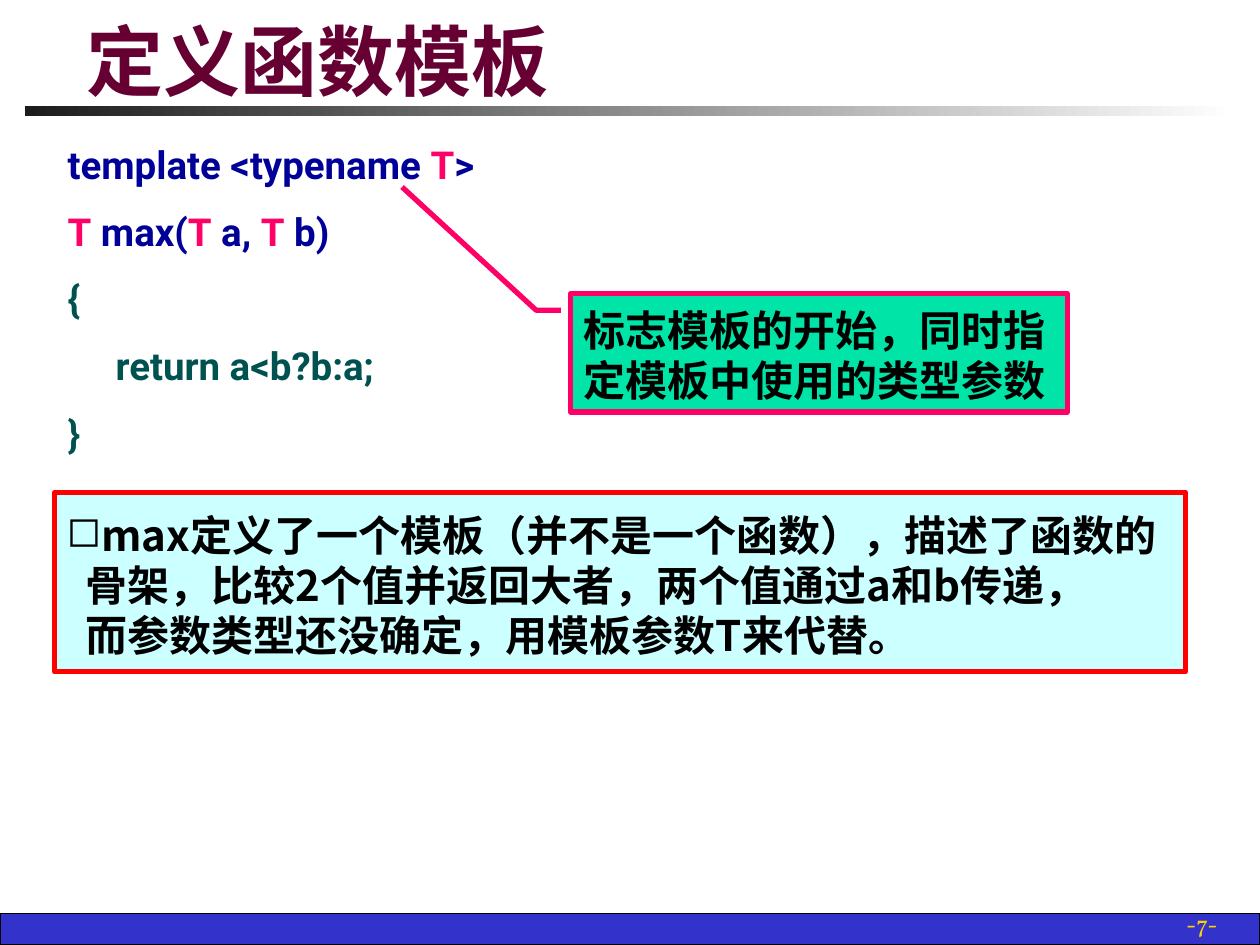
from pptx import Presentation
from pptx.util import Pt
from pptx.dml.color import RGBColor
from pptx.enum.shapes import MSO_SHAPE as Kind
from pptx.enum.text import MSO_ANCHOR as Anchor, PP_ALIGN as Align
from pptx.oxml.ns import qn
from lxml.etree import SubElement

COLORS = {
    "black": "000000", "blue": "3333CC", "dark": "1C1C1C", "white": "FFFFFF",
    "gold": "FFCF01", "plum": "660033", "navy": "000099", "pink": "FF0066",
    "teal": "005250", "ice": "CCFFFF", "red": "FF0000", "mint": "00E4A8",
}
RGB = {name: RGBColor.from_string(code) for name, code in COLORS.items()}
CJK = "Noto Sans CJK SC"

deck = Presentation()
deck.slide_width, deck.slide_height = Pt(720), Pt(540)
slide = deck.slides.add_slide(deck.slide_layouts[6])
shapes = slide.shapes


def block(kind, box, fill, line=None, width=0.75):
    shape = shapes.add_shape(kind, *map(Pt, box))
    shape.shadow.inherit = False
    if fill:
        shape.fill.solid()
        shape.fill.fore_color.rgb = RGB[fill]
    if line:
        shape.line.color.rgb = RGB[line]
        shape.line.width = Pt(width)
    else:
        shape.line.fill.background()
    return shape


def write(para, parts, face, size, bold=True):
    para.font.name, para.font.size, para.font.bold = face, Pt(size), bold
    for text, color in parts:
        run = para.add_run()
        run.text = text
        run.font.color.rgb = RGB[color]
        SubElement(run._r.get_or_add_rPr(), qn("a:ea")).set("typeface", CJK)


block(Kind.RECTANGLE, (0, 522, 720, 18), "blue", "black")

rule = block(Kind.RECTANGLE, (14.4, 60.5, 692, 5.8), None)
rule.fill.gradient()
rule.fill.gradient_angle = 0
for stop, color, pos in zip(rule.fill.gradient_stops, ("dark", "white"), (0, 1)):
    stop.color.rgb = RGB[color]
    stop.position = pos

number = shapes.add_textbox(Pt(553), Pt(516.2), Pt(149.8), Pt(23.8)).text_frame
number.word_wrap = True
number.vertical_anchor = Anchor.BOTTOM
number.paragraphs[0].alignment = Align.RIGHT
write(number.paragraphs[0], [("-7-", "gold")], "Vollkorn", 14, False)

title = shapes.add_textbox(Pt(42.5), Pt(9.4), Pt(627.8), Pt(51.1)).text_frame
title.word_wrap = True
title.vertical_anchor = Anchor.BOTTOM
title.margin_bottom = 0
write(title.paragraphs[0], [("定义函数模板", "plum")], "Comic Neue", 44)

code = shapes.add_textbox(Pt(31), Pt(77), Pt(658), Pt(408)).text_frame
code.word_wrap = True
lines = [
    [("template <typename ", "navy"), ("T", "pink"), (">", "navy")],
    [("T", "pink"), (" max(", "navy"), ("T", "pink"), (" a, ", "navy"),
     ("T", "pink"), (" b)", "navy")],
    [("{", "teal")],
    [("\treturn a<b?b:a;", "teal")],
    [("}", "teal")],
]
for i, parts in enumerate(lines):
    para = code.add_paragraph() if i else code.paragraphs[0]
    para.space_before = Pt(12)
    props = para._p.get_or_add_pPr()
    props.set("marL", str(Pt(28)))
    props.set("indent", str(Pt(-27.4)))
    write(para, parts, "Roboto", 22)

note = block(Kind.RECTANGLE, (31, 281.5, 646.6, 102.2), "ice", "red", 3).text_frame
note.word_wrap = False
note.vertical_anchor = Anchor.MIDDLE
note.margin_top = Pt(6.6)
rows = [
    "max定义了一个模板（并不是一个函数），描述了函数的",
    "骨架，比较2个值并返回大者，两个值通过a和b传递，",
    "而参数类型还没确定，用模板参数T来代替。",
]
for i, text in enumerate(rows):
    para = note.add_paragraph() if i else note.paragraphs[0]
    para.alignment = Align.LEFT
    para.line_spacing = Pt(28.6)
    write(para, [(text, "black")], CJK, 24)
    props = para._p.get_or_add_pPr()
    if i:
        props.set("marL", str(Pt(11)))
    else:
        mark = props.makeelement(qn("a:buChar"), {"char": "◻"})
        props.insert_element_before(mark, "a:tabLst", "a:defRPr", "a:extLst")

call = block(Kind.LINE_CALLOUT_2, (326.2, 167.8, 283.7, 67.7), "mint", "pink", 3)
for i, value in enumerate((0.14, -0.02, 0.14, -0.07, -0.9, -0.34)):
    call.adjustments[i] = value
hint = call.text_frame
hint.word_wrap = True
hint.vertical_anchor = Anchor.TOP
hint.margin_top = Pt(6.6)
para = hint.paragraphs[0]
para.alignment = Align.LEFT
para.line_spacing = Pt(28.6)
write(para, [("标志模板的开始，同时指定模板中使用的类型参数", "black")], "Roboto", 24)

deck.save("out.pptx")
